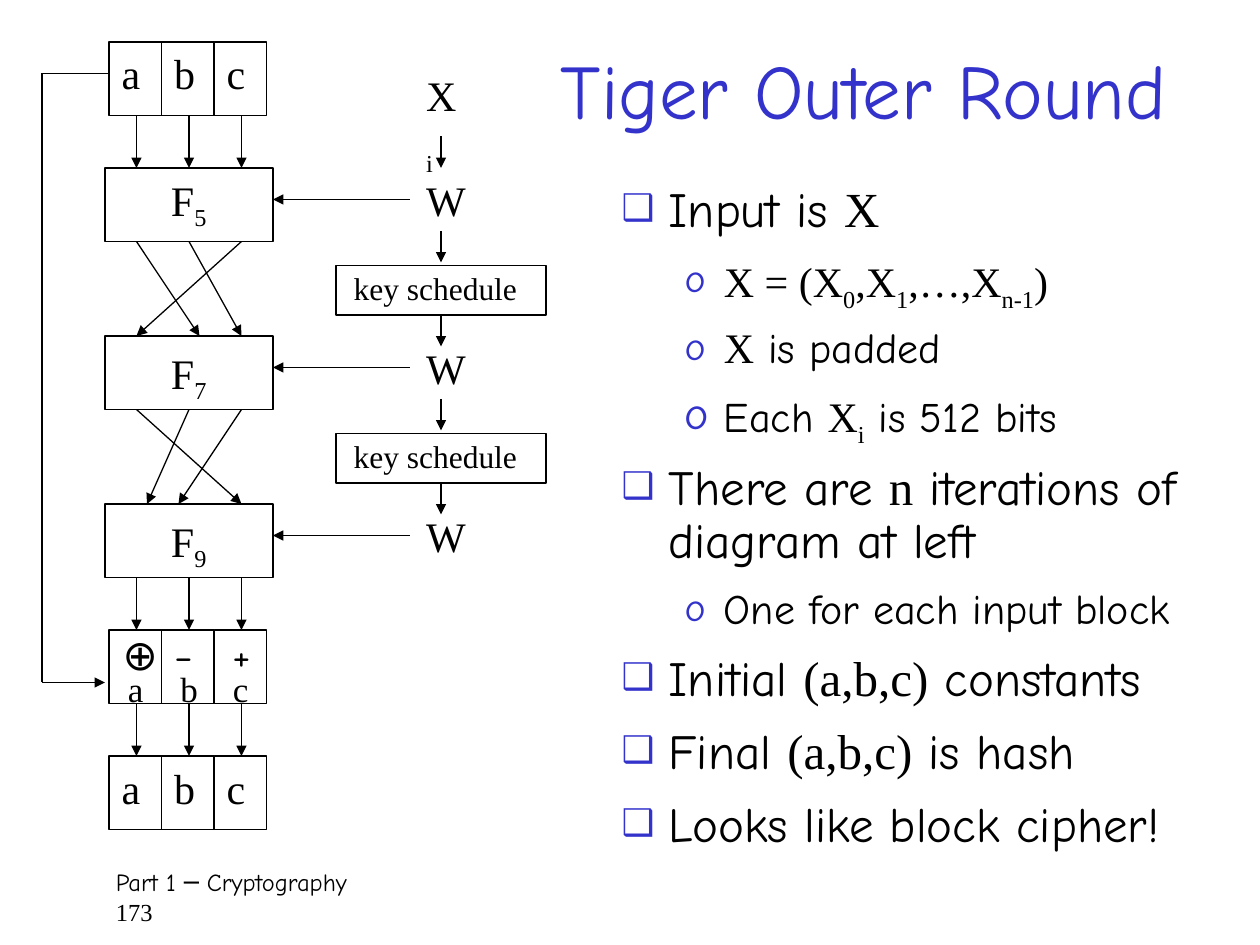
"""Build the slide on the outer round of the Tiger hash."""
from dataclasses import dataclass

from lxml import etree
from pptx import Presentation
from pptx.dml.color import RGBColor
from pptx.enum.shapes import MSO_CONNECTOR, MSO_SHAPE
from pptx.enum.text import MSO_ANCHOR, MSO_AUTO_SIZE, PP_ALIGN
from pptx.oxml.ns import qn
from pptx.util import Cm, Pt

RECT, LINE = MSO_SHAPE.RECTANGLE, MSO_CONNECTOR.STRAIGHT
MIDDLE, TOP = MSO_ANCHOR.MIDDLE, MSO_ANCHOR.TOP
FIXED, CENTER = MSO_AUTO_SIZE.NONE, PP_ALIGN.CENTER


@dataclass(frozen=True)
class Theme:
    """Hold the colours, fonts and type sizes."""
    ink: str = "000000"
    blue: str = "3333CC"
    hand: str = "Comic Neue"
    serif: str = "Times New Roman"
    title: int = 44
    body: int = 28
    sub: int = 24
    mark: int = 24
    small: int = 20
    key: int = 18
    foot: int = 14


def unit(num):
    """Turn twelfths of an inch into a length."""
    return Cm(num * 2.54 / 12)


def node(parent, tag, **attrs):
    """Append an XML child with the given attributes."""
    child = etree.SubElement(parent, qn(tag))
    for name, value in attrs.items():
        child.set(name, str(value))
    return child


class Deck:
    """Draw styled elements on the current slide."""

    def __init__(self, theme):
        """Open a deck with one title and body slide."""
        self.theme = theme
        self.show = Presentation()
        self.show.slide_width, self.show.slide_height = Cm(25.4), Cm(19.05)
        self.slide = self.show.slides.add_slide(self.show.slide_layouts[1])

    def style(self, run, size, font, color=None):
        """Set the face, size and colour of a run."""
        run.font.name, run.font.size = font, Pt(size)
        run.font.color.rgb = RGBColor.from_string(color or self.theme.ink)

    def fill(self, para, parts, size):
        """Add runs in hand (h), serif (s) or serif subscript (b)."""
        for kind, words in parts:
            run = para.add_run()
            run.text = words
            self.style(run, size, self.theme.hand if kind == "h" else self.theme.serif)
            if kind == "b":
                run._r.get_or_add_rPr().set("baseline", "-25000")

    def place(self, shape, left, top, width, height):
        """Move a shape and hand back its text frame."""
        shape.left, shape.top = unit(left), unit(top)
        shape.width, shape.height = unit(width), unit(height)
        frame = shape.text_frame
        frame.word_wrap, frame.auto_size = True, FIXED
        return frame

    def title(self, words, *area):
        """Set the title placeholder."""
        frame = self.place(self.slide.shapes.title, *area)
        frame.text, frame.vertical_anchor = words, MIDDLE
        para = frame.paragraphs[0]
        para.alignment, para.line_spacing = CENTER, 0.9
        self.style(para.runs[0], self.theme.title, self.theme.hand, self.theme.blue)

    def list(self, items, *area):
        """Set the body placeholder from (level, bullet size, parts)."""
        frame = self.place(self.slide.placeholders[1], *area)
        frame.vertical_anchor = TOP
        for index, (level, scale, parts) in enumerate(items):
            para = frame.add_paragraph() if index else frame.paragraphs[0]
            size = self.theme.sub if level else self.theme.body
            para.level, para.line_spacing = level, 0.9
            para.space_before, para.space_after = Pt(size * 0.2), Pt(6)
            self.fill(para, parts, size)
            self.bullet(para, level, scale)

    def bullet(self, para, level, scale):
        """Give a paragraph its hanging bullet."""
        props = para._p.get_or_add_pPr()
        left, hang = (Cm(2.06), Cm(0.79)) if level else (Cm(0.95), Cm(0.95))
        props.set("marL", str(left))
        props.set("indent", str(-hang))
        node(node(props, "a:buClr"), "a:srgbClr", val=self.theme.blue)
        node(props, "a:buSzPct", val=scale * 1000)
        node(props, "a:buFont", typeface=self.theme.hand)
        node(props, "a:buChar", char="o" if level else "❑")

    def text(self, parts, size, left, top, width, height, gap=None):
        """Add a free line of text."""
        box = self.slide.shapes.add_textbox(0, 0, 0, 0)
        para = self.place(box, left, top, width, height).paragraphs[0]
        para.line_spacing = gap
        self.fill(para, parts, size)

    def foot(self, words, *area):
        """Add the footer with the page number below it."""
        frame = self.place(self.slide.shapes.add_textbox(0, 0, 0, 0), *area)
        frame.text = words
        for para, font in zip(frame.paragraphs, (self.theme.hand, self.theme.serif)):
            self.style(para.runs[0], self.theme.foot, font)

    def pen(self, line):
        """Set the common outline."""
        line.color.rgb = RGBColor.from_string(self.theme.ink)
        line.width = Pt(0.75)

    def box(self, *area):
        """Add an open rectangle."""
        shape = self.slide.shapes.add_shape(RECT, *map(unit, area))
        shape.shadow.inherit = False
        shape.fill.background()
        self.pen(shape.line)

    def line(self, *ends, head=True):
        """Add a line, with an arrowhead unless told otherwise."""
        link = self.slide.shapes.add_connector(LINE, *map(unit, ends))
        self.pen(link.line)
        if head:
            node(link.line._get_or_add_ln(), "a:tailEnd", type="triangle")
        node(link._element.spPr, "a:effectLst")


def main():
    """Lay out the diagram and the notes beside it."""
    theme = Theme()
    deck = Deck(theme)
    deck.foot("Part 1 ─ Cryptography\n173", 9.85, 82, 102, 6)
    deck.title("Tiger Outer Round ", 50, 2, 67, 14)
    deck.list([
        (0, 75, [("h", "Input is "), ("s", "X")]),
        (1, 95, [("s", "X = (X"), ("b", "0"), ("s", ",X"), ("b", "1"),
                 ("s", ",…,X"), ("b", "n-1"), ("s", ")")]),
        (1, 95, [("s", "X"), ("h", " is padded")]),
        (1, 110, [("h", "Each "), ("s", "X"), ("b", "i"), ("h", " is 512 bits")]),
        (0, 75, [("h", "There are "), ("s", "n"),
                 ("h", " iterations of diagram at left")]),
        (1, 95, [("h", "One for each input block")]),
        (0, 75, [("h", "Initial "), ("s", "(a,b,c)"), ("h", " constants")]),
        (0, 75, [("h", "Final "), ("s", "(a,b,c)"), ("h", " is hash")]),
        (0, 75, [("h", "Looks like block cipher!")]),
    ], 58, 17, 59, 64)

    for row, digit in enumerate("579"):
        top = 16 + 16 * row
        deck.box(10, top, 16, 7)
        deck.text([("s", "F"), ("b", digit)], theme.mark,
                  15.1, top + (0.5 if row else 0), 7.9, 6)
        deck.text([("s", "W")], theme.mark, 39.4, top, 6.2, 6)
        deck.line(39, top + 3, 26, top + 3)
    for top in (25, 41):
        deck.box(32, top + 0.3, 20, 4.7)
        deck.text([("s", "key schedule")], theme.key, 32.5, top, 19.9, 4.8)
    deck.text([("s", "X"), ("b", "i")], theme.mark, 39.4, 6, 5.6, 6)
    for top in (13, 22, 30, 38, 46):
        deck.line(42, top, 42, top + 3)

    signs = zip("abc", "⊕−+", (10.5, 15.4, 21), (5.5, 4.6, 4.6))
    for col, (name, sign, left, width) in enumerate(signs):
        edge, mid = 10.4 + 5 * col, 13 + 5 * col
        for top in (4, 60, 72):
            deck.box(edge, top, 5, 7)
        for top in (5.6, 73.7):
            deck.text([("s", name)], theme.mark, edge, top, 4.7, 4.1, 0.6)
        deck.text([("h", sign)], theme.mark, left, 61, width, 4.1, 0.6)
        deck.text([("s", name)], theme.small, edge + 0.6, 64.4, 4.3, 3.6, 0.6)
        for top in (11, 55, 67):
            deck.line(mid, top, mid, top + 5)
    for top, pairs in ((23, ((23, 13), (18, 23), (13, 19))),
                       (39, ((13, 23), (18, 14), (23, 17)))):
        for start, end in pairs:
            deck.line(start, top, end, top + 9)
    deck.line(10.4, 7, 4, 7, head=False)
    deck.line(4, 7, 4, 65, head=False)
    deck.line(4, 65, 10, 65)
    deck.show.save("out.pptx")


if __name__ == "__main__":
    main()
